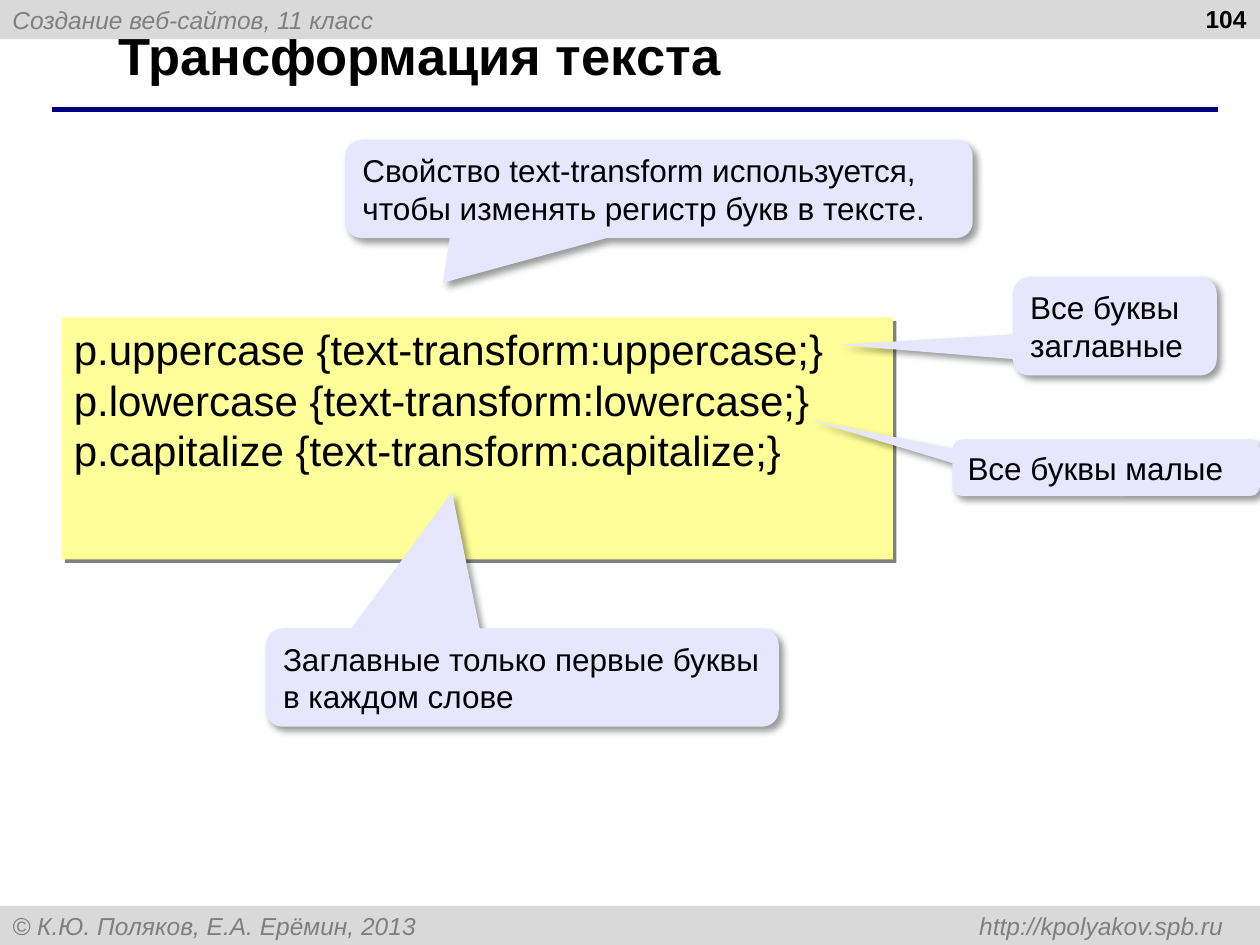
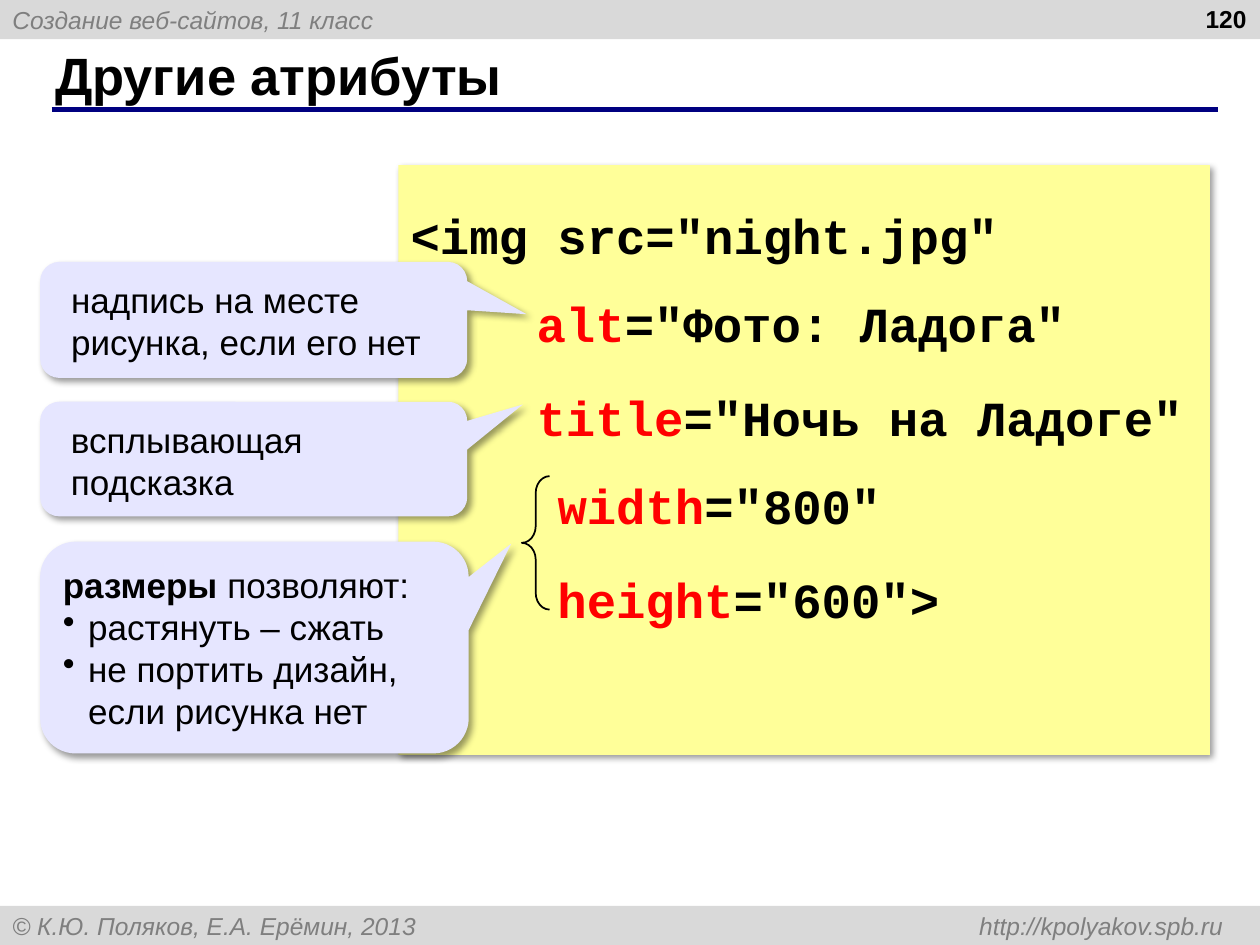
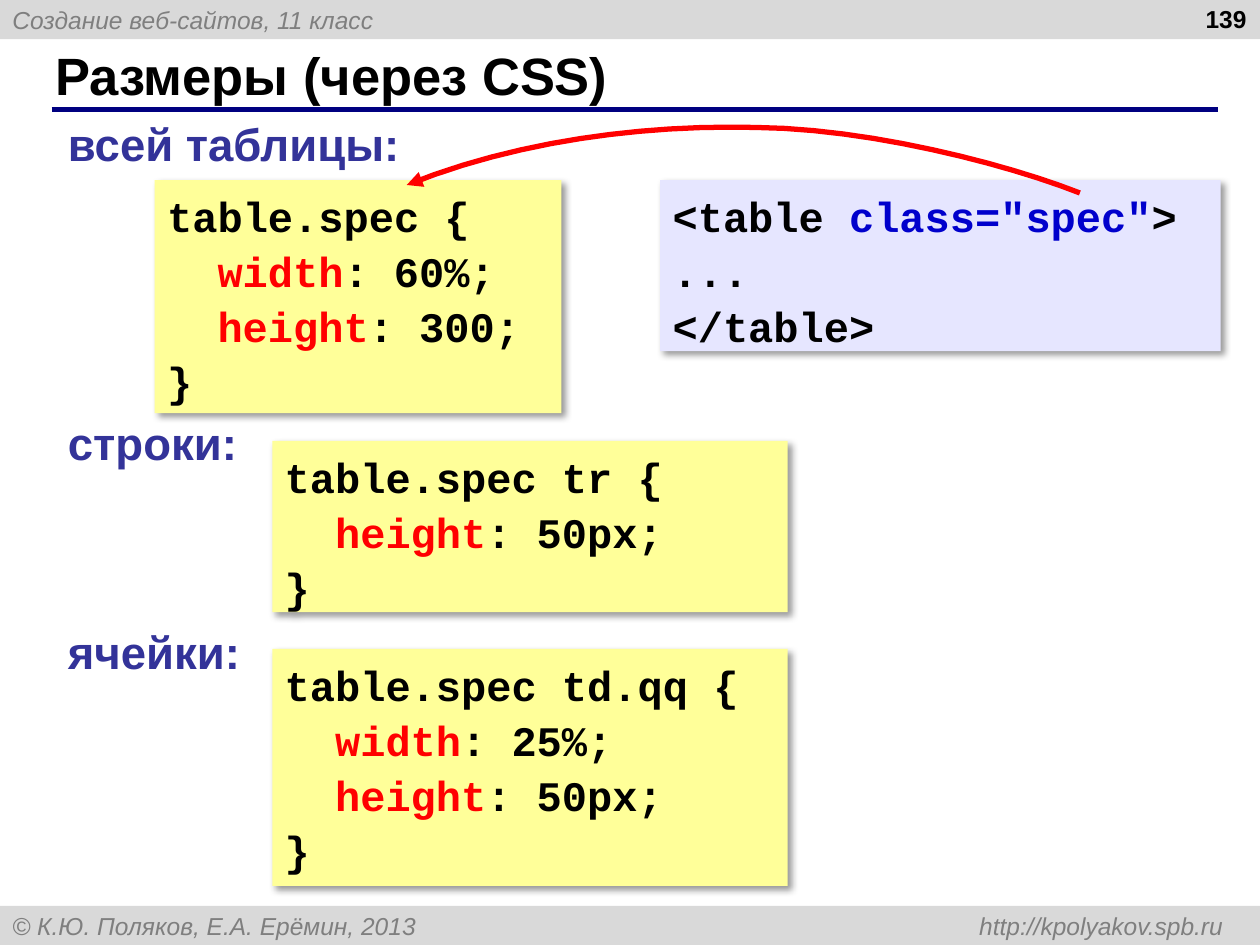
import lxml.etree
import pptx
import pptx.dml.color
import pptx.enum.shapes
import pptx.enum.text
import pptx.oxml.ns
import pptx.util

Cm = pptx.util.Cm
Pt = pptx.util.Pt
RGB = pptx.dml.color.RGBColor
Kind = pptx.enum.shapes.MSO_SHAPE
Align = pptx.enum.text.PP_ALIGN
Anchor = pptx.enum.text.MSO_ANCHOR
qn = pptx.oxml.ns.qn

BLACK = RGB(0x00, 0x00, 0x00)
BAND = RGB(0xD9, 0xD9, 0xD9)
GREY = RGB(0x7F, 0x7F, 0x7F)
SHADE = RGB(0x80, 0x80, 0x80)
NAVY = RGB(0x00, 0x00, 0x80)
BLUE = RGB(0x00, 0x00, 0xCC)
INDIGO = RGB(0x33, 0x33, 0x99)
RED = RGB(0xFF, 0x00, 0x00)
YELLOW = RGB(0xFF, 0xFF, 0x99)
LILAC = RGB(0xE6, 0xE6, 0xFF)

PAD = (0.25, 0.13, 0.25, 0.13)
SOFT = (BLACK, 40, 4, 3)
HARD = (SHADE, 100, 0, 2.8)
PLAIN = {"name": "Arial", "size": Pt(18), "bold": False, "italic": False, "color": BLACK}
HEAD = {**PLAIN, "size": Pt(30), "bold": True}
SMALL = {**PLAIN, "size": Pt(14), "italic": True, "color": GREY}
PAGE = {**PLAIN, "size": Pt(14), "bold": True}
LABEL = {**PLAIN, "size": Pt(26), "bold": True, "color": INDIGO}
NOTE = {**PLAIN, "size": Pt(20)}
CODE = {**PLAIN, "name": "Courier New", "size": Pt(24), "bold": True}


def put(item, vals):
    for key, val in vals.items():
        if key == "color":
            item.color.rgb = val
        else:
            setattr(item, key, val)


def node(owner, tag, **vals):
    return lxml.etree.SubElement(owner, qn(tag), {k: str(v) for k, v in vals.items()})


def cms(*vals):
    return [Cm(val) for val in vals]


class Deck:
    def __init__(self):
        self.show = pptx.Presentation()
        self.show.slide_width, self.show.slide_height = cms(25.4, 19.05)
        self.slide = None

    def page(self, title, num, left=0.86, top=0.84):
        self.slide = self.show.slides.add_slide(self.show.slide_layouts[5])
        self.band(0, "Создание веб-сайтов, 11 класс")
        self.band(18.26, "© К.Ю. Поляков, Е.А. Ерёмин, 2013\thttp://kpolyakov.spb.ru", 24.41)
        self.rule()
        head = self.slide.shapes.title
        vals = dict(zip(("left", "top", "width", "height"), cms(left, top, 23.27, 1.32)))
        put(head, vals)
        self.text(head, [title], HEAD, anchor=Anchor.MIDDLE)
        self.label(num, 19.46, -0.05, 5.92, PAGE, align=Align.RIGHT)

    def band(self, top, words, tab=None):
        band = self.shape(Kind.RECTANGLE, (0, top, 25.4, 0.79), BAND)
        self.text(band, [words], SMALL, anchor=Anchor.MIDDLE, tab=tab, align_tab="r")

    def rule(self):
        ends = cms(1.04, 2.21, 24.56, 2.21)
        rule = self.slide.shapes.add_connector(pptx.enum.shapes.MSO_CONNECTOR.STRAIGHT, *ends)
        put(rule.line, {"color": NAVY, "width": Pt(3)})
        node(rule._element.spPr, "a:effectLst")

    def shape(self, kind, box, fill=None, shade=None, turns=()):
        shape = self.slide.shapes.add_shape(kind, *cms(*box))
        for i, turn in enumerate(turns):
            shape.adjustments[i] = turn
        shape.line.fill.background()
        if fill is None:
            shape.fill.background()
        else:
            shape.fill.solid()
            shape.fill.fore_color.rgb = fill
        shape.shadow.inherit = False
        if shade:
            tone, alpha, blur, dist = shade
            cast = node(shape._element.spPr.find(qn("a:effectLst")), "a:outerShdw",
                        blurRad=Pt(blur), dist=Pt(dist), dir=2700000, algn="tl", rotWithShape=0)
            node(node(cast, "a:srgbClr", val=tone), "a:alpha", val=alpha * 1000)
        return shape

    def text(self, shape, paras, style, mark=None, pad=PAD, anchor=Anchor.TOP,
             align=Align.LEFT, gap=0, ratio=None, tab=None, align_tab="l", wrap=True):
        frame = shape.text_frame
        sides = ("margin_left", "margin_top", "margin_right", "margin_bottom")
        put(frame, {"auto_size": pptx.enum.text.MSO_AUTO_SIZE.NONE, "word_wrap": wrap,
                    "vertical_anchor": anchor, **dict(zip(sides, cms(*pad)))})
        for i, words in enumerate(paras):
            para = frame.add_paragraph() if i else frame.paragraphs[0]
            put(para, {"alignment": align, "space_before": Pt(gap if i else 0)})
            if ratio:
                para.line_spacing = ratio
            props = para._p.get_or_add_pPr()
            if words.startswith("•"):
                words = words[1:]
                props.set("marL", str(Cm(0.51)))
                props.set("indent", str(-Cm(0.51)))
                node(props, "a:buChar", char="•")
            if tab:
                node(node(props, "a:tabLst"), "a:tab", pos=Cm(tab), algn=align_tab)
            for j, piece in enumerate(words.split("|")):
                look = {**style, **mark} if j % 2 else style
                for k, line in enumerate(piece.split("\n")):
                    if k:
                        para.add_line_break()
                    if line:
                        run = para.add_run()
                        run.text = line
                        put(run.font, look)

    def label(self, words, left, top, width, style, **opts):
        box = self.slide.shapes.add_textbox(*cms(left, top, width, 1.34))
        self.text(box, [words], style, **opts)

    def code(self, box, paras, size=24, fill=YELLOW, tone=RED, **opts):
        gap = size * 0.11
        self.text(self.shape(Kind.RECTANGLE, box, fill, SOFT), paras,
                  {**CODE, "size": Pt(size)}, {"color": tone},
                  pad=(0.25, 0.22, 0.25, 0.13), gap=gap, **opts)

    def call(self, box, tip, paras, style=PLAIN, pad=PAD):
        call = self.shape(Kind.ROUNDED_RECTANGULAR_CALLOUT, box, LILAC, SOFT, (*tip, 0.167))
        self.text(call, paras, style, {"bold": True}, pad)

    def brace(self, box):
        brace = self.shape(Kind.LEFT_BRACE, box, turns=(0.601, 0.5))
        put(brace.line, {"color": BLACK, "width": Pt(1)})

    def arrow(self, start, *curves, steps=12):
        spots, last = [], start
        for curve in curves:
            knots = (last, *curve)
            for i in range(1, steps + 1):
                t = i / steps
                parts = ((1 - t) ** 3, 3 * t * (1 - t) ** 2, 3 * t * t * (1 - t), t ** 3)
                spots.append(cms(*(sum(w * knot[axis] for w, knot in zip(parts, knots))
                                   for axis in (0, 1))))
            last = curve[-1]
        build = self.slide.shapes.build_freeform(*cms(*start))
        build.add_line_segments(spots, close=False)
        arrow = build.convert_to_shape()
        arrow.fill.background()
        arrow.shadow.inherit = False
        put(arrow.line, {"color": RED, "width": Pt(3)})
        node(arrow._element.spPr.find(qn("a:ln")), "a:tailEnd", type="triangle")


def change(deck):
    deck.page("Трансформация текста", "104", 2.13, 0.43)
    rules = "\n".join(f"p.{name} {{text-transform:{name};}}"
                      for name in ("uppercase", "lowercase", "capitalize"))
    box = deck.shape(Kind.RECTANGLE, (1.24, 6.4, 16.76, 4.88), YELLOW, HARD)
    deck.text(box, [rules], {**PLAIN, "size": Pt(24)}, pad=(0.25, 0.13, 0, 0.13))
    for place, tip, words in (
        ((6.96, 2.82, 12.65, 1.98), (-0.344, 0.955),
         "Свойство text-transform используется, чтобы изменять регистр букв в тексте."),
        ((20.42, 5.59, 4.11, 1.98), (-1.355, 0.188), "Все буквы заглавные"),
        ((19.2, 8.86, 6.2, 1.14), (-0.964, -0.849), "Все буквы малые"),
        ((5.36, 12.67, 10.34, 1.98), (-0.137, -1.887),
         "Заглавные только первые буквы в каждом слове"),
    ):
        deck.call(place, tip, [words])


def traits(deck):
    deck.page("Другие атрибуты", "120")
    deck.code((8.03, 3.33, 16.36, 11.89),
              ['<img src="night.jpg"\n\t|alt|="Фото: Ладога"',
               '|\ttitle|="Ночь на Ладоге"\n     |width|="800"',
               '|     height|="600">'],
              size=28, ratio=1.5, tab=2.54)
    wide = (0.51, 0.23, 0.25, 0.13)
    deck.call((0.81, 5.28, 8.61, 2.34), (0.639, -0.049),
              ["надпись на месте рисунка, если его нет"], NOTE, wide)
    deck.call((0.81, 10.92, 8.64, 4.27), (0.599, -0.49),
              ["|размеры| позволяют:", "•растянуть – сжать",
               "•не портить дизайн, если рисунка нет"],
              NOTE, (0.25, 0.23, 0.25, 0.13))
    deck.brace((10.52, 9.6, 0.56, 2.69))
    deck.call((0.81, 8.1, 8.61, 2.31), (0.63, -0.476),
              ["всплывающая подсказка"], NOTE, wide)


def sizes(deck):
    deck.page("Размеры (через CSS)", "139")
    deck.code((3.12, 3.63, 8.2, 4.7),
              ["table.spec {", "  |width|: 60%;", "  |height|: 300;", "}"])
    deck.code((5.49, 8.89, 10.39, 3.45),
              ["table.spec tr {", "  |height|: 50px;", "}"])
    for words, top, width in (("всей таблицы:", 2.21, 7.24),
                              ("строки:", 8.23, 3.91), ("ячейки:", 12.45, 3.99)):
        deck.label(words, 1.12, top, width, LABEL, wrap=False)
    deck.code((5.49, 13.08, 10.39, 4.78),
              ["table.spec td.qq {", "  |width|: 25%;", "  |height|: 50px;", "}"])
    deck.code((13.31, 3.63, 11.3, 3.45),
              ['<table |class="spec"|>', "...", "</table>"], fill=LILAC, tone=BLUE)
    deck.arrow((21.77, 3.89),
               ((20.27, 3.3), (17.5, 2.59), (15.24, 2.57)),
               ((12.98, 2.51), (10.41, 2.84), (8.2, 3.73)))


def main():
    deck = Deck()
    for draw in (change, traits, sizes):
        draw(deck)
    deck.show.save("out.pptx")


if __name__ == "__main__":
    main()
